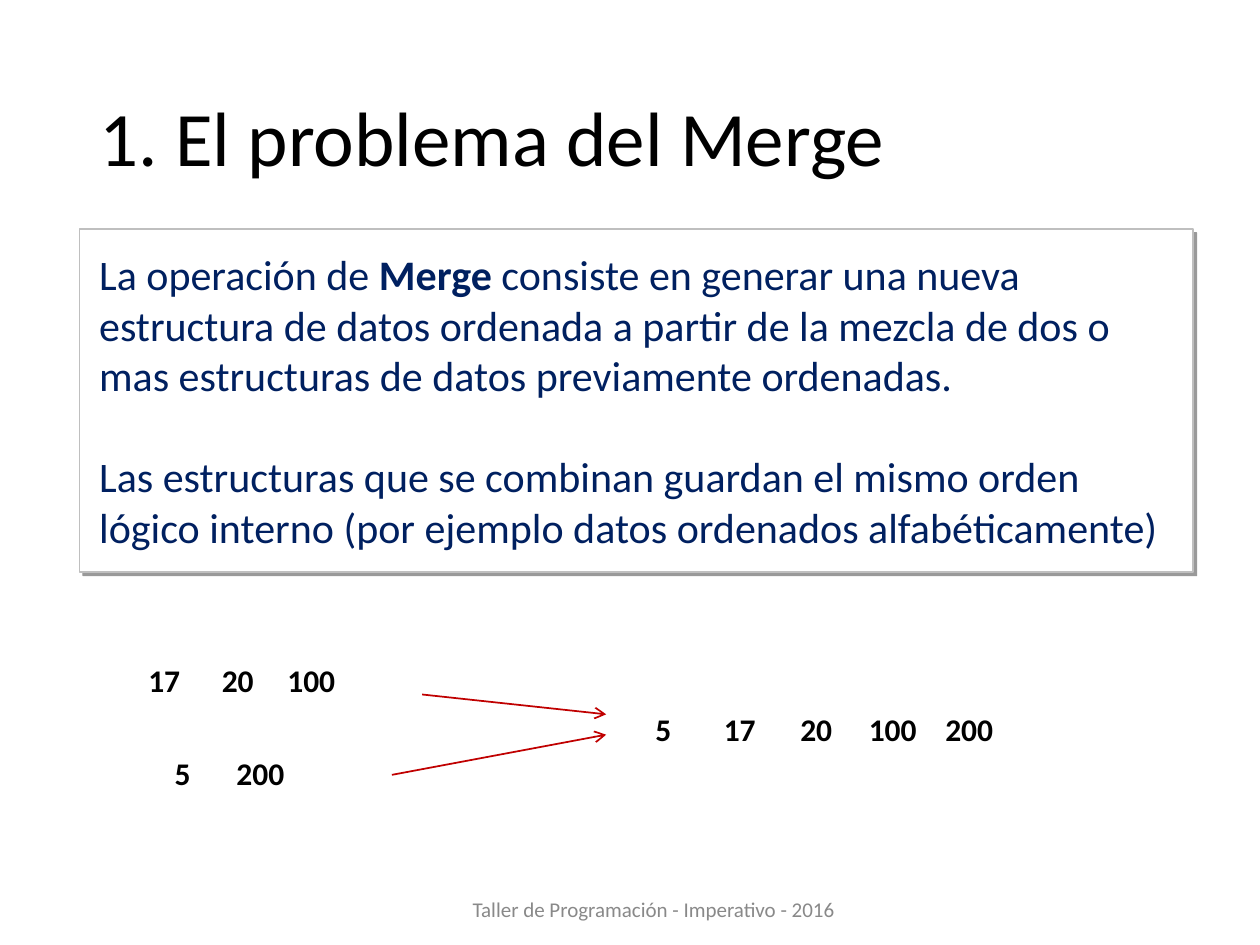
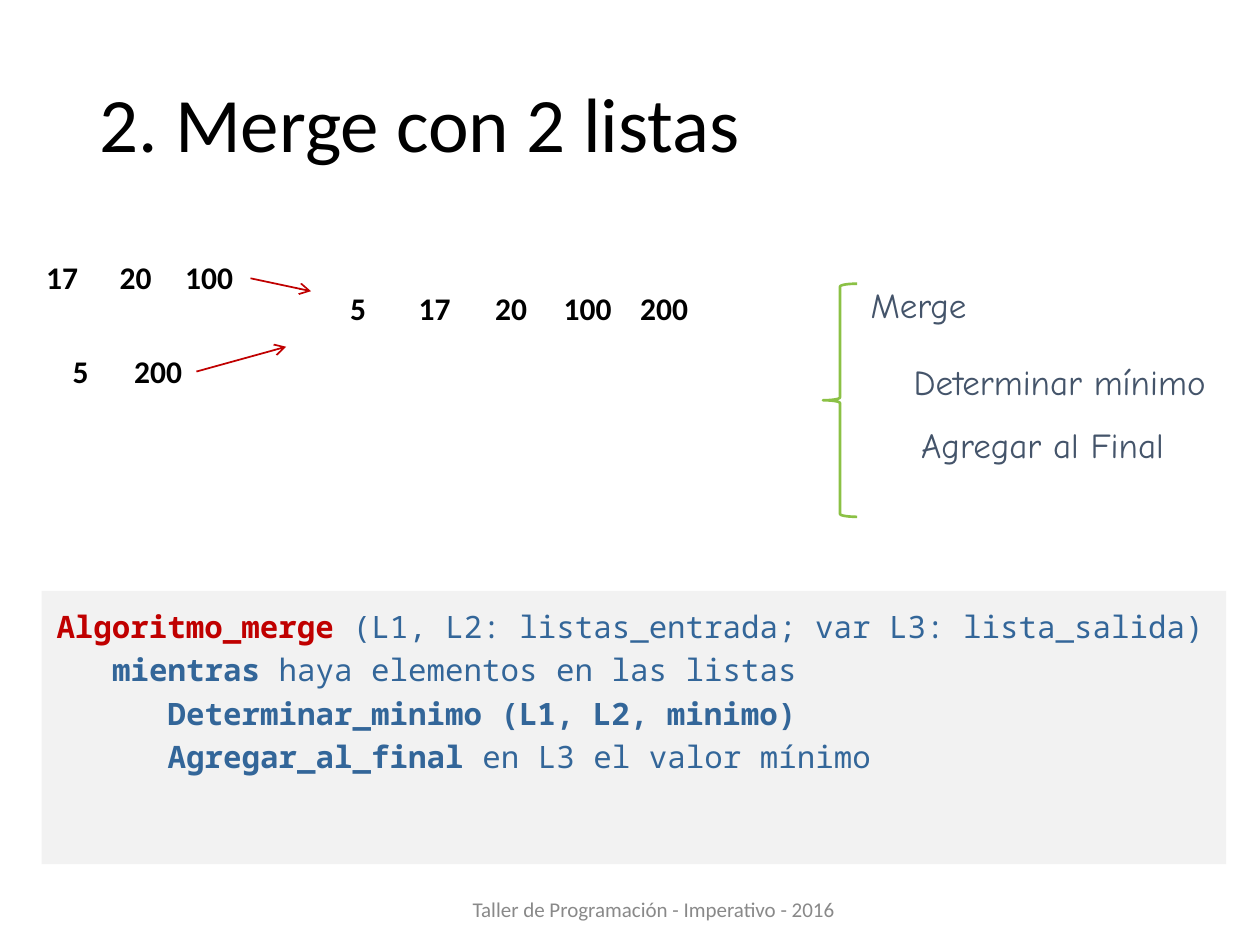
from dataclasses import dataclass

from lxml import etree
from pptx import Presentation, util as u
from pptx.dml.color import RGBColor
from pptx.enum import shapes, text
from pptx.oxml import ns


@dataclass(frozen=True)
class Theme:
    body_font: str = "Calibri"
    label_font: str = "Comic Neue"
    code_font: str = "Noto Sans Mono"
    black: str = "000000"
    white: str = "FFFFFF"
    navy: str = "002060"
    red: str = "C00000"
    steel: str = "336699"
    slate: str = "44546A"
    green: str = "8BC145"
    footer_gray: str = "898989"
    border_gray: str = "BFBFBF"
    code_back: str = "F2F2F2"
    title_size: float = 44
    body_size: float = 24
    label_size: float = 20
    number_size: float = 18
    code_size: float = 17.6
    footer_size: float = 12


THEME = Theme()
TITLE_ONLY = 5
FOOTER = "Taller de Programación - Imperativo - 2016"
CODE_INDENT = 1.12
FIRST_LIST = ["17", "20", "100", ""]
SECOND_LIST = ["5", "200", ""]
MERGED_LIST = ["5", "17", "20", "100", "200", "", ""]
SECOND_LIST_OFFSET = (0.33, 1.88)


def rgb(color):
    return RGBColor.from_string(color)


def box(*lengths):
    return [u.Cm(length) for length in lengths]


def add_run(paragraph, words, font, size, color, bold=False):
    run = paragraph.add_run()
    run.text = words
    run.font.name = font
    run.font.size = u.Pt(size)
    run.font.bold = bold
    run.font.color.rgb = rgb(color)


def next_paragraph(frame, index):
    return frame.add_paragraph() if index else frame.paragraphs[0]


def indent(paragraph, centimetres):
    paragraph._p.get_or_add_pPr().set("marL", str(u.Cm(centimetres)))


def add_effects(shape):
    return etree.SubElement(shape._element.spPr, ns.qn("a:effectLst"))


def add_hard_shadow(shape):
    """Give the shape an unblurred shadow towards the lower right."""
    shadow = etree.SubElement(add_effects(shape), ns.qn("a:outerShdw"),
                              dist=str(u.Pt(3)), dir=str(45 * 60000), algn="tl", rotWithShape="0")
    color = etree.SubElement(shadow, ns.qn("a:srgbClr"), val=THEME.black)
    etree.SubElement(color, ns.qn("a:alpha"), val="40000")


def add_panel(slide, place, fill, margins):
    """Add a filled rectangle for text that starts at its top left."""
    panel = slide.shapes.add_shape(shapes.MSO_SHAPE.RECTANGLE, *box(*place))
    panel.fill.solid()
    panel.fill.fore_color.rgb = rgb(fill)
    panel.line.fill.background()
    frame = panel.text_frame
    frame.word_wrap = True
    frame.vertical_anchor = text.MSO_ANCHOR.TOP
    (frame.margin_left, frame.margin_top,
     frame.margin_right, frame.margin_bottom) = box(*margins)
    return panel


def add_title(slide, words, height):
    title = slide.shapes.title
    title.left, title.top, title.width, title.height = box(1.75, 1.02, 21.92, height)
    title.text_frame.vertical_anchor = text.MSO_ANCHOR.MIDDLE
    paragraph = title.text_frame.paragraphs[0]
    paragraph.alignment = text.PP_ALIGN.LEFT
    paragraph.line_spacing = 0.9
    add_run(paragraph, words, THEME.body_font, THEME.title_size, THEME.black)


def add_footer(slide):
    footer = slide.shapes.add_textbox(*box(7.39, 17.73, 11.58, 1.02))
    frame = footer.text_frame
    frame.word_wrap = True
    frame.vertical_anchor = text.MSO_ANCHOR.MIDDLE
    paragraph = frame.paragraphs[0]
    paragraph.alignment = text.PP_ALIGN.CENTER
    paragraph.line_spacing = 1.35
    paragraph.space_before = u.Pt(3)
    add_run(paragraph, FOOTER, THEME.body_font, THEME.footer_size, THEME.footer_gray)


def add_titled_slide(presentation, words, title_height):
    slide = presentation.slides.add_slide(presentation.slide_layouts[TITLE_ONLY])
    add_title(slide, words, title_height)
    add_footer(slide)
    return slide


def add_definition(slide, paragraphs):
    """Add the shadowed box; each paragraph is a list of (words, bold)."""
    panel = add_panel(slide, (1.6, 4.62, 22.45, 6.91), THEME.white, [0.4] * 4)
    panel.line.color.rgb = rgb(THEME.border_gray)
    panel.line.width = u.Pt(0.75)
    add_hard_shadow(panel)
    for index, runs in enumerate(paragraphs):
        paragraph = next_paragraph(panel.text_frame, index)
        paragraph.alignment = text.PP_ALIGN.LEFT
        paragraph.space_before = u.Pt(29 if index else 0)
        for words, bold in runs:
            add_run(paragraph, words, THEME.body_font, THEME.body_size, THEME.navy, bold)


def add_number_list(slide, left, top, numbers, width):
    frame = slide.shapes.add_table(1, len(numbers), *box(left, top, width, 1.04))
    table = frame.table
    table.first_row = table.horz_banding = False
    for cell, number in zip(table.rows[0].cells, numbers):
        cell.fill.solid()
        cell.fill.fore_color.rgb = rgb(THEME.white)
        cell.margin_left = cell.margin_right = u.Cm(0.1)
        paragraph = cell.text_frame.paragraphs[0]
        paragraph.alignment = text.PP_ALIGN.CENTER
        if number:
            add_run(paragraph, number, THEME.body_font, THEME.number_size, THEME.black, True)


def add_arrow(slide, start, end):
    arrow = slide.shapes.add_connector(shapes.MSO_CONNECTOR.STRAIGHT, *box(*start, *end))
    arrow.line.color.rgb = rgb(THEME.red)
    arrow.line.width = u.Pt(1)
    etree.SubElement(arrow._element.spPr.find(ns.qn("a:ln")), ns.qn("a:tailEnd"), type="arrow")
    add_effects(arrow)


def add_merge_diagram(slide, first, merged, arrows):
    """Draw two lists, their merged list and the arrows between them."""
    second = [a + b for a, b in zip(first, SECOND_LIST_OFFSET)]
    add_number_list(slide, *first, FIRST_LIST, 5.93)
    add_number_list(slide, *second, SECOND_LIST, 4.7)
    add_number_list(slide, *merged, MERGED_LIST, 10.8)
    for start, end in arrows:
        add_arrow(slide, start, end)


def add_label(slide, left, top, words, left_indent=0):
    label = slide.shapes.add_textbox(*box(left, top, 7.8, 1.12))
    label.text_frame.word_wrap = True
    paragraph = label.text_frame.paragraphs[0]
    indent(paragraph, left_indent)
    add_run(paragraph, words, THEME.label_font, THEME.label_size, THEME.slate)


def add_brace(slide, *place):
    brace = slide.shapes.add_shape(shapes.MSO_SHAPE.LEFT_BRACE, *box(*place))
    brace.shadow.inherit = False
    brace.fill.background()
    brace.line.color.rgb = rgb(THEME.green)
    brace.line.width = u.Pt(1.5)


def add_code(slide, lines):
    """Add the code panel; each line is (level, [(words, color, bold)])."""
    panel = add_panel(slide, (0.84, 11.91, 23.88, 5.51), THEME.code_back,
                      (0.3, 0.61, 0.25, 0.61))
    panel.shadow.inherit = False
    for index, (level, runs) in enumerate(lines):
        paragraph = next_paragraph(panel.text_frame, index)
        paragraph.alignment = text.PP_ALIGN.LEFT
        paragraph.line_spacing = 0.6
        paragraph.space_before = paragraph.space_after = u.Pt(6)
        indent(paragraph, level * CODE_INDENT)
        for words, color, bold in runs:
            add_run(paragraph, words, THEME.code_font, THEME.code_size, color, bold)


def build_problem_slide(presentation):
    slide = add_titled_slide(presentation, "1. El problema del Merge", 3.68)
    add_definition(slide, [
        [("La operación de ", False),
         ("Merge", True),
         (" consiste en generar una nueva estructura de datos ordenada a partir de "
          "la mezcla de dos o mas estructuras de datos previamente ordenadas.", False)],
        [("Las estructuras que se combinan guardan el mismo orden lógico interno "
          "(por ejemplo datos ordenados alfabéticamente)", False)],
    ])
    add_merge_diagram(slide, (2.57, 13.23), (12.6, 14.22), [
        ((7.9, 15.62), (12.22, 14.81)),
        ((8.51, 14), (12.22, 14.4)),
    ])


def build_two_lists_slide(presentation):
    slide = add_titled_slide(presentation, "2. Merge con 2 listas", 3.12)
    add_label(slide, 17.3, 5.59, "Merge")
    add_label(slide, 17.2, 7.14, "Determinar mínimo", 0.97)
    add_label(slide, 17.35, 8.41, "Agregar al Final", 0.97)
    add_merge_diagram(slide, (0.51, 5.11), (6.45, 5.72), [
        ((3.96, 7.49), (5.77, 6.99)),
        ((5.05, 5.61), (6.27, 5.87)),
    ])
    add_code(slide, [
        (0, [("Algoritmo_merge ", THEME.red, True),
             ("(L1, L2: listas_entrada; var L3: lista_salida)", THEME.steel, False)]),
        (1, [("mientras", THEME.steel, True),
             (" haya elementos en las listas", THEME.steel, False)]),
        (2, [("Determinar_minimo (L1, L2, minimo)", THEME.steel, True)]),
        (2, [("Agregar_al_final ", THEME.steel, True),
             ("en L3 el valor mínimo", THEME.steel, False)]),
    ])
    add_brace(slide, 16.59, 5.72, 0.69, 4.7)


def main():
    presentation = Presentation()
    presentation.slide_width, presentation.slide_height = box(25.4, 19.05)
    build_problem_slide(presentation)
    build_two_lists_slide(presentation)
    presentation.save("out.pptx")


if __name__ == "__main__":
    main()
